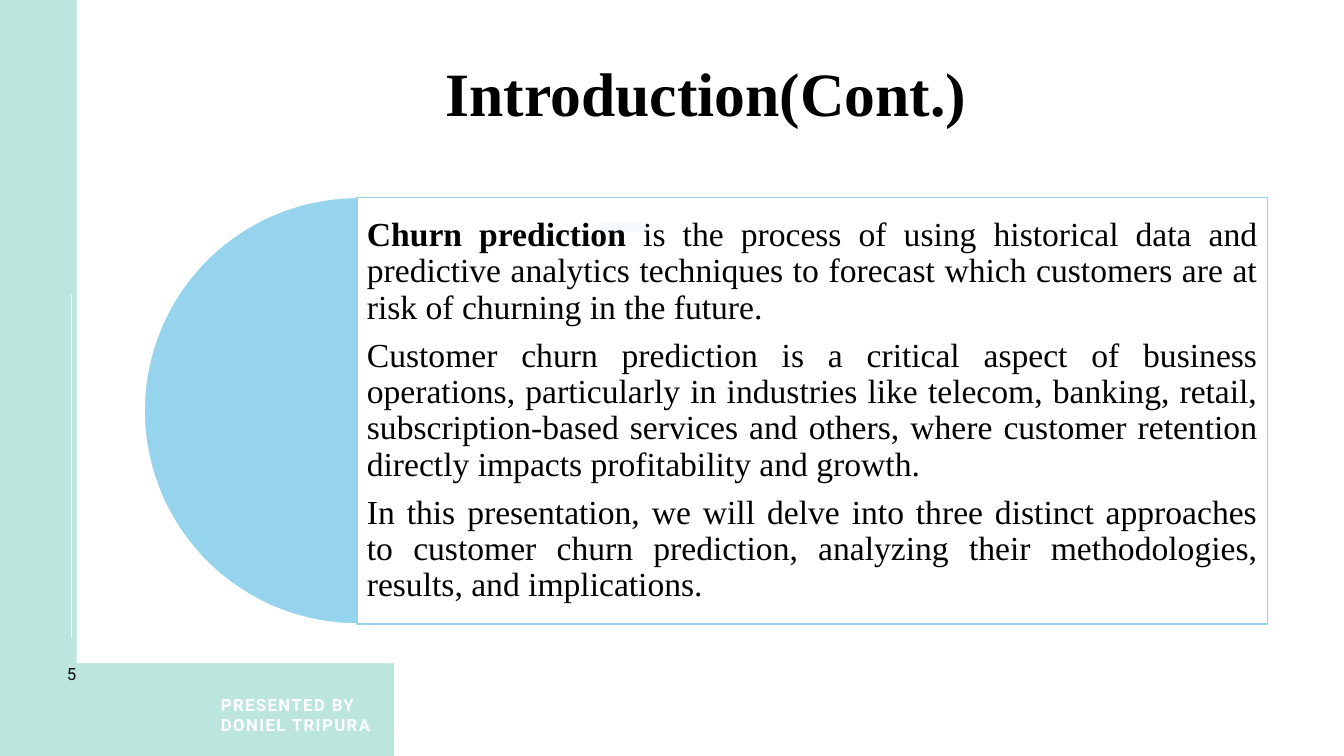
from dataclasses import dataclass
from typing import Any

from lxml import etree
from pptx import Presentation
from pptx import util as u
from pptx.dml.color import RGBColor
from pptx.enum import shapes, text
from pptx.oxml import ns

WIDE, HIGH = u.Inches(13.33), u.Inches(7.5)
HUES = {"mint": "BCE5DD", "sky": "96D3ED", "white": "FFFFFF",
        "black": "000000", "ink": "0D0D0D"}
SERIF, SANS = "Times New Roman", "Roboto"
KIND, ALIGN, ANCHOR = shapes.MSO_SHAPE, text.PP_ALIGN, text.MSO_ANCHOR


@dataclass
class Area:
    """Left, top, width and height in percent of the slide."""
    left: float
    top: float
    width: float
    height: float

    def emu(self) -> tuple[int, int, int, int]:
        return (int(WIDE * self.left / 100), int(HIGH * self.top / 100),
                int(WIDE * self.width / 100), int(HIGH * self.height / 100))


@dataclass
class Block:
    area: Area
    fill: str
    line: str = ""
    kind: Any = KIND.RECTANGLE
    turns: tuple[float, ...] = ()
    alpha: int = 100


@dataclass
class Rule:
    area: Area
    hue: str
    weight: float


@dataclass
class Label:
    area: Area
    paras: list[list[tuple[str, bool]]]
    font: str
    size: int
    hue: str
    frame: dict[str, Any]
    para: dict[str, Any]
    track: int = 0


def rgb(hue: str) -> RGBColor:
    return RGBColor.from_string(HUES[hue])


def assign(target: Any, values: dict[str, Any]) -> None:
    for name, value in values.items():
        setattr(target, name, value)


def inset(size: float) -> dict[str, Any]:
    sides = ("left", "top", "right", "bottom")
    return {f"margin_{side}": u.Inches(size) for side in sides}


def draw_block(slide: Any, block: Block) -> None:
    shape = slide.shapes.add_shape(block.kind, *block.area.emu())
    shape.shadow.inherit = False
    for spot, turn in enumerate(block.turns):
        shape.adjustments[spot] = turn
    shape.fill.solid()
    shape.fill.fore_color.rgb = rgb(block.fill)
    if block.alpha < 100:
        tint = shape.fill._xPr.find(".//" + ns.qn("a:srgbClr"))
        etree.SubElement(tint, ns.qn("a:alpha"), val=str(block.alpha * 1000))
    if block.line:
        shape.line.color.rgb = rgb(block.line)
        shape.line.width = u.Pt(1)
    else:
        shape.line.fill.background()


def draw_rule(slide: Any, rule: Rule) -> None:
    left, top, width, height = rule.area.emu()
    line = slide.shapes.add_connector(
        shapes.MSO_CONNECTOR.STRAIGHT, left, top, left + width, top + height)
    line.line.color.rgb = rgb(rule.hue)
    line.line.width = u.Pt(rule.weight)
    etree.SubElement(line._element.spPr, ns.qn("a:effectLst"))


def draw_label(slide: Any, label: Label) -> None:
    frame = slide.shapes.add_textbox(*label.area.emu()).text_frame
    assign(frame, {"word_wrap": True, **label.frame})
    for spot, runs in enumerate(label.paras):
        para = frame.add_paragraph() if spot else frame.paragraphs[0]
        assign(para, label.para)
        for words, bold in runs:
            run = para.add_run()
            run.text = words
            assign(run.font, {"name": label.font, "size": u.Pt(label.size),
                              "bold": bold})
            run.font.color.rgb = rgb(label.hue)
            if label.track:
                run.font._element.set("spc", str(label.track * 100))


CARD = Area(26.56, 26.13, 67.74, 56.4)
TIGHT = {"vertical_anchor": ANCHOR.MIDDLE, **inset(0)}
BODY = [
    [("Churn prediction ", True),
     ("is the process of using historical data and predictive analytics "
      "techniques to forecast which customers are at risk of churning in "
      "the future.", False)],
    [("Customer churn prediction is a critical aspect of business "
      "operations, particularly in industries like telecom, banking, retail, "
      "subscription-based services and others, where customer retention "
      "directly impacts profitability and growth.", False)],
    [("In this presentation, we will delve into three distinct approaches to "
      "customer churn prediction, analyzing their methodologies, results, "
      "and implications.", False)],
]
ITEMS = [
    Block(Area(29.33, 0, 70.67, 100), "white"),
    Rule(Area(5.33, 38.93, 0, 45.47), "white", 1),
    Rule(Area(44.71, 30, 3.38, 0), "sky", 7),
    Label(Area(3.45, 87.73, 3.75, 2.67), [[("5", False)]], SANS, 12, "ink",
          TIGHT, {"alignment": ALIGN.CENTER}, 2),
    Label(Area(16.43, 93.2, 14.63, 2.8),
          [[("PRESENTED BY DONIEL TRIPURA", True)]], SANS, 12, "white",
          TIGHT, {"alignment": ALIGN.LEFT}, 1),
    Block(Area(5.7, 0, 26.93, 87.73), "white"),
    Block(Area(10.73, 26.13, 31.73, 56.4), "sky", "white", KIND.PIE,
          (54, 162)),
    Block(CARD, "white", "sky", alpha=90),
    Label(CARD, BODY, SERIF, 24, "black",
          {"vertical_anchor": ANCHOR.MIDDLE, **inset(0.1)},
          {"alignment": ALIGN.JUSTIFY, "line_spacing": 0.9,
           "space_after": u.Pt(8.4)}),
    Label(Area(23.11, 6.67, 58.89, 11.2), [[("Introduction(Cont.)", True)]],
          SERIF, 44, "black",
          {"auto_size": text.MSO_AUTO_SIZE.SHAPE_TO_FIT_TEXT},
          {"alignment": ALIGN.CENTER}),
]
DRAW = {Block: draw_block, Rule: draw_rule, Label: draw_label}


def main() -> None:
    deck = Presentation()
    assign(deck, {"slide_width": WIDE, "slide_height": HIGH})
    slide = deck.slides.add_slide(deck.slide_layouts[6])
    slide.background.fill.solid()
    slide.background.fill.fore_color.rgb = rgb("mint")
    for item in ITEMS:
        DRAW[type(item)](slide, item)
    deck.save("out.pptx")


if __name__ == "__main__":
    main()
